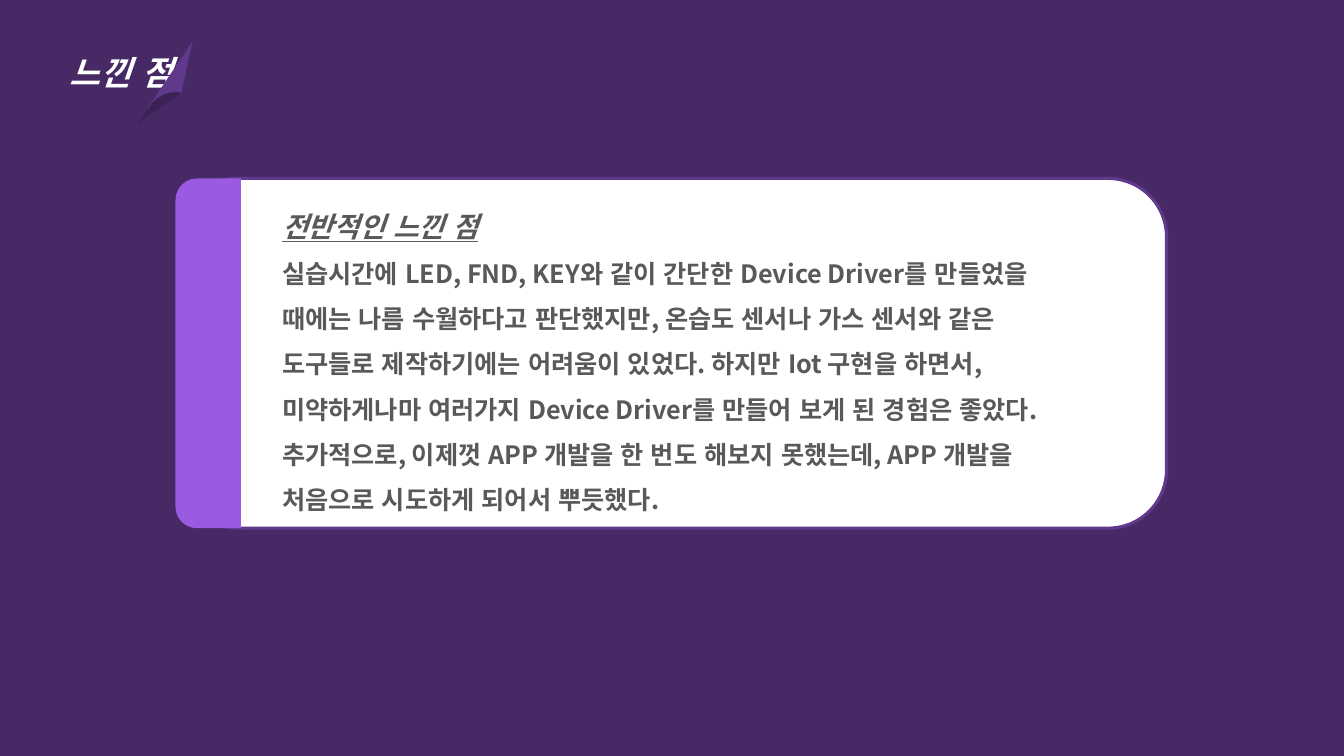
from lxml.etree import SubElement
from pptx import Presentation
from pptx.dml.color import RGBColor
from pptx.enum.lang import MSO_LANGUAGE_ID as Language
from pptx.enum.shapes import MSO_SHAPE as Preset
from pptx.enum.text import MSO_ANCHOR as Anchor, PP_ALIGN as Align
from pptx.oxml.ns import qn
from pptx.util import Inches, Pt

FONT = "Noto Sans CJK KR"
BACKGROUND, FOLD, ACCENT = "462965", "60398C", "9A5AE2"
WHITE, BLACK, TEXT_GREY = "FFFFFF", "000000", "595959"
HEADING = "전반적인 느낀 점"
REFLECTION = (
    "실습시간에 LED, FND, KEY와 같이 간단한 Device Driver를 만들었을 때에는 "
    "나름 수월하다고 판단했지만, 온습도 센서나 가스 센서와 같은 도구들로 "
    "제작하기에는 어려움이 있었다. 하지만 Iot 구현을 하면서, 미약하게나마 "
    "여러가지 Device Driver를 만들어 보게 된 경험은 좋았다. 추가적으로, 이제껏 "
    "APP 개발을 한 번도 해보지 못했는데, APP 개발을 처음으로 시도하게 되어서 뿌듯했다."
)


def paint(fill, color):
    fill.solid()
    fill.fore_color.rgb = RGBColor.from_string(color)


def add_run(paragraph, text, size, color, italic=False, underline=False):
    run = paragraph.add_run()
    run.text = text
    font = run.font
    font.name, font.size, font.bold = FONT, Pt(size), True
    font.italic, font.underline = italic, underline
    font.language_id = Language.KOREAN
    paint(font.fill, color)
    SubElement(font._element, qn("a:ea"), typeface=FONT)


def add_block(shapes, preset, left, top, width, height, color):
    block = shapes.add_shape(preset, Inches(left), Inches(top), Inches(width), Inches(height))
    block.shadow.inherit = False
    paint(block.fill, color)
    block.line.fill.background()
    return block


def curve_points(start, control_a, control_b, end, steps=12):
    for step in range(1, steps + 1):
        t = step / steps
        weights = (1 - t) ** 3, 3 * t * (1 - t) ** 2, 3 * t * t * (1 - t), t ** 3
        yield tuple(
            sum(weight * value for weight, value in zip(weights, axis))
            for axis in zip(start, control_a, control_b, end)
        )


def add_title(slide, left, top, width, height):
    title = slide.shapes.title
    title.left, title.top = Inches(left), Inches(top)
    title.width, title.height = Inches(width), Inches(height)
    frame = title.text_frame
    frame.word_wrap = True
    frame.vertical_anchor = Anchor.TOP
    heading = frame.paragraphs[0]
    heading.alignment = Align.CENTER
    add_run(heading, "느낀 점", 24, WHITE, italic=True)


def add_page_curl(slide, left, top):
    curl = slide.shapes.add_group_shape().shapes
    shade = add_block(curl, Preset.ISOSCELES_TRIANGLE, left - 0.09, top + 0.43, 0.81, 0.19, BLACK)
    shade.rotation = 123.6
    shade.adjustments[0] = 0.395
    shade_color = shade.fill._xPr.find(qn("a:solidFill"))[0]
    SubElement(shade_color, qn("a:alpha"), val="15000")

    tip, corner, inner = (0.55, 0), (0.44, 0.51), (0.15, 0.61)
    edge = [corner, *curve_points(corner, (0.33, 0.49), (0.22, 0.53), inner), (0.11, 0.67), (0.1, 0.67)]
    outline = [(Inches(left + x), Inches(top + y)) for x, y in [tip, *edge]]
    builder = curl.build_freeform(*outline[0])
    builder.add_line_segments(outline[1:], close=True)
    fold = builder.convert_to_shape()
    fold.shadow.inherit = False
    paint(fold.fill, FOLD)
    fold.line.fill.background()


def add_reflection_card(slide, left, top, width, height):
    card = add_block(slide.shapes, Preset.ROUNDED_RECTANGLE, left, top, width, height, WHITE)
    card.adjustments[0] = 0.167
    card.line.width = Pt(2.25)
    paint(card.line.fill, FOLD)

    strip = 0.65
    offset = (height - strip) / 2
    tab = add_block(slide.shapes, Preset.ROUND_2_SAME_RECTANGLE,
                    left - 0.03 - offset, top + offset, height, strip, ACCENT)
    tab.rotation = 270
    tab.adjustments[0] = 0.328
    tab.adjustments[1] = 0

    frame = slide.shapes.add_textbox(
        Inches(left + 0.93), Inches(top + 0.09), Inches(8.2), Inches(3.3)).text_frame
    frame.word_wrap = True
    heading, reflection = frame.paragraphs[0], frame.add_paragraph()
    heading.line_spacing = reflection.line_spacing = 1.5
    add_run(heading, HEADING, 20, TEXT_GREY, italic=True, underline=True)
    add_run(reflection, REFLECTION, 18, TEXT_GREY)


def main():
    deck = Presentation()
    deck.slide_width, deck.slide_height = Inches(13.33), Inches(7.5)
    slide = deck.slides.add_slide(deck.slide_layouts[5])
    paint(slide.background.fill, BACKGROUND)
    add_title(slide, 0.32, 0.46, 1.76, 0.5)
    add_page_curl(slide, 1.36, 0.41)
    add_reflection_card(slide, 1.77, 1.77, 9.8, 3.47)
    deck.save("out.pptx")


if __name__ == "__main__":
    main()
